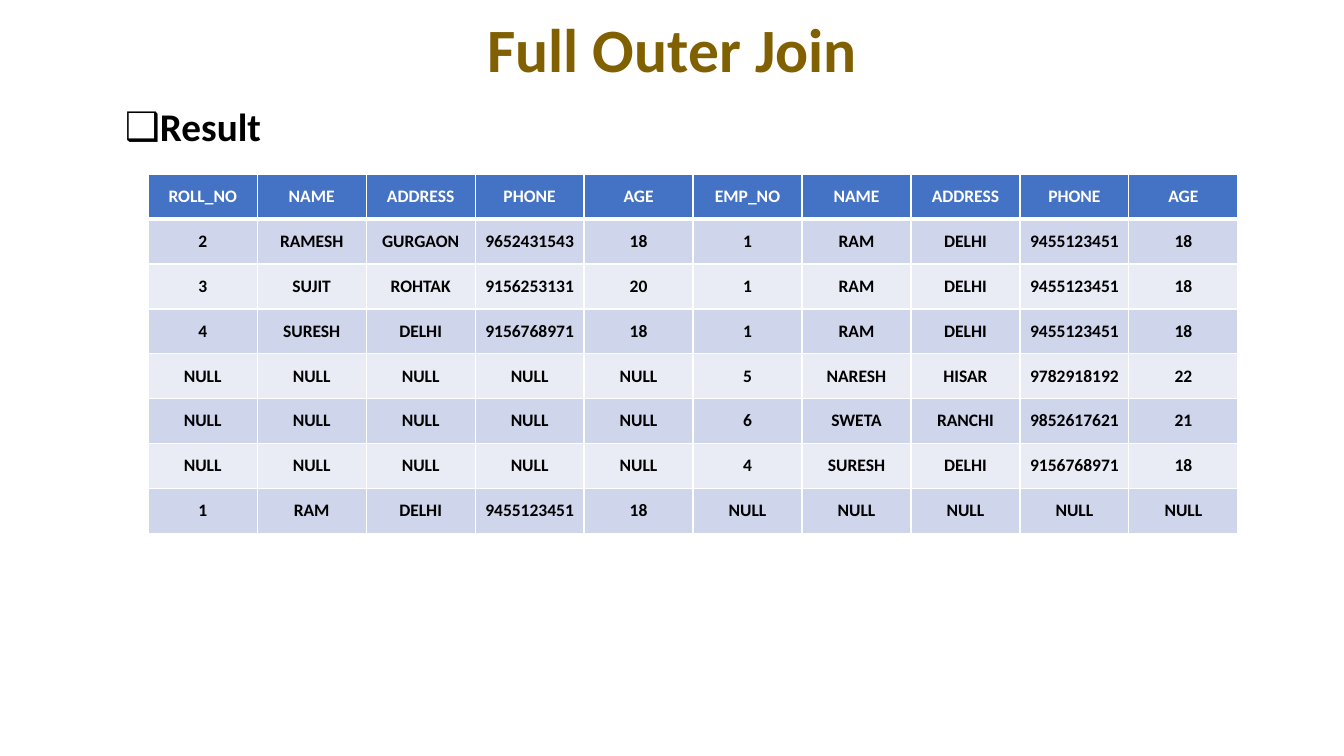
"""Build the slide showing the result of a full outer join."""
from dataclasses import dataclass

from lxml import etree
from pptx import Presentation
from pptx.dml.color import RGBColor
from pptx.enum.text import MSO_ANCHOR, PP_ALIGN
from pptx.oxml.ns import qn
from pptx.slide import Slide
from pptx.table import _Cell
from pptx.text.text import _Paragraph
from pptx.util import Inches, Pt

MIDDLE = MSO_ANCHOR.MIDDLE
CENTER = PP_ALIGN.CENTER
TITLE_ONLY = 5


@dataclass(frozen=True)
class Theme:
    font: str = "Calibri"
    title_size: float = 44
    heading_size: float = 28
    table_size: float = 12.5
    title: str = "806000"
    ink: str = "000000"
    white: str = "FFFFFF"
    header: str = "4472C4"
    bands: tuple[str, str] = ("CFD5EA", "E9EBF5")
    thin: float = 1
    thick: float = 3


@dataclass(frozen=True)
class RowStyle:
    fill: str
    ink: str
    top: float
    bottom: float


THEME = Theme()

COLUMNS = ("NAME", "ADDRESS", "PHONE", "AGE")
NULLS = ("NULL",) * 5
RAM = ("1", "RAM", "DELHI", "9455123451", "18")
SURESH = ("4", "SURESH", "DELHI", "9156768971", "18")
JOINED_ROWS = (
    ("ROLL_NO", *COLUMNS, "EMP_NO", *COLUMNS),
    ("2", "RAMESH", "GURGAON", "9652431543", "18", *RAM),
    ("3", "SUJIT", "ROHTAK", "9156253131", "20", *RAM),
    SURESH + RAM,
    (*NULLS, "5", "NARESH", "HISAR", "9782918192", "22"),
    (*NULLS, "6", "SWETA", "RANCHI", "9852617621", "21"),
    NULLS + SURESH,
    RAM + NULLS,
)


def write(paragraph: _Paragraph, text: str, size: float, color: str) -> None:
    """Put bold text in a paragraph."""
    font = paragraph.add_run().font
    paragraph.runs[0].text = text
    for name, value in {"name": THEME.font, "size": Pt(size), "bold": True}.items():
        setattr(font, name, value)
    font.color.rgb = RGBColor.from_string(color)


def add_title(slide: Slide, text: str) -> None:
    """Place and format the title placeholder."""
    title = slide.shapes.title
    place = {"left": 0.92, "top": 0.02, "width": 11.5, "height": 1}
    for name, value in place.items():
        setattr(title, name, Inches(value))
    title.text_frame.vertical_anchor = MIDDLE
    paragraph = title.text_frame.paragraphs[0]
    paragraph.alignment = CENTER
    paragraph.line_spacing = 0.9
    write(paragraph, text, THEME.title_size, THEME.title)


def add_heading(slide: Slide, text: str) -> None:
    """Add the heading with its box bullet."""
    heading = slide.shapes.add_textbox(
        Inches(1.14), Inches(1.02), Inches(12.08), Inches(6.32))
    heading.text_frame.word_wrap = True
    paragraph = heading.text_frame.paragraphs[0]
    properties = paragraph._p.get_or_add_pPr()
    properties.set("marL", str(Inches(0.25)))
    properties.set("indent", str(-Inches(0.25)))
    etree.SubElement(properties, qn("a:buFont"), typeface=THEME.font)
    etree.SubElement(properties, qn("a:buChar"), char="❑")
    paragraph.line_spacing = 0.9
    write(paragraph, text, THEME.heading_size, THEME.ink)


def add_borders(cell: _Cell, style: RowStyle) -> None:
    """Draw the four white borders of a cell."""
    properties = cell._tc.get_or_add_tcPr()
    widths = {"lnL": THEME.thin, "lnR": THEME.thin,
              "lnT": style.top, "lnB": style.bottom}
    for side, width in widths.items():
        line = etree.SubElement(properties, qn(f"a:{side}"), w=str(Pt(width)))
        fill = etree.SubElement(line, qn("a:solidFill"))
        etree.SubElement(fill, qn("a:srgbClr"), val=THEME.white)


def fill_cell(cell: _Cell, text: str, style: RowStyle) -> None:
    """Format one cell and write its value."""
    layout = {"vertical_anchor": MIDDLE,
              "margin_left": Inches(0.08), "margin_right": Inches(0.08),
              "margin_top": Inches(0.11), "margin_bottom": Inches(0.11)}
    for name, value in layout.items():
        setattr(cell, name, value)
    add_borders(cell, style)
    cell.fill.solid()
    cell.fill.fore_color.rgb = RGBColor.from_string(style.fill)
    paragraph = cell.text_frame.paragraphs[0]
    paragraph.alignment = CENTER
    write(paragraph, text, THEME.table_size, style.ink)


def row_style(index: int) -> RowStyle:
    """Choose the header style or one of the two bands."""
    if index == 0:
        return RowStyle(THEME.header, THEME.white, THEME.thin, THEME.thick)
    top = THEME.thick if index == 1 else THEME.thin
    return RowStyle(THEME.bands[(index - 1) % 2], THEME.ink, top, THEME.thin)


def add_result_table(slide: Slide, rows: tuple[tuple[str, ...], ...]) -> None:
    """Add the table of joined rows."""
    table = slide.shapes.add_table(
        len(rows), len(rows[0]),
        Inches(1.47), Inches(1.73), Inches(10.81), Inches(3.56)).table
    for row_index, values in enumerate(rows):
        style = row_style(row_index)
        for column_index, value in enumerate(values):
            fill_cell(table.cell(row_index, column_index), value, style)


def main() -> None:
    """Assemble and save the slide."""
    presentation = Presentation()
    presentation.slide_width = Inches(13.33)
    presentation.slide_height = Inches(7.5)
    slide = presentation.slides.add_slide(presentation.slide_layouts[TITLE_ONLY])
    add_title(slide, "Full Outer Join")
    add_heading(slide, "Result")
    add_result_table(slide, JOINED_ROWS)
    presentation.save("out.pptx")


if __name__ == "__main__":
    main()
